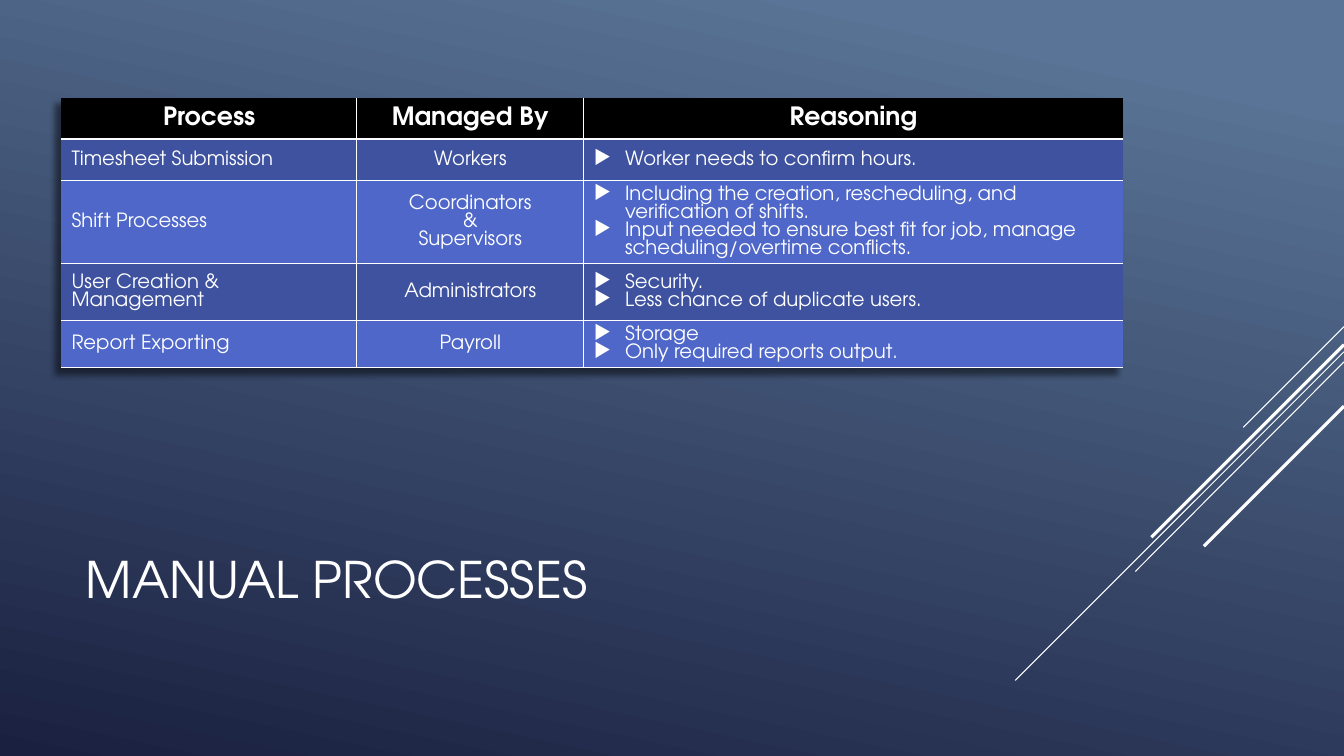
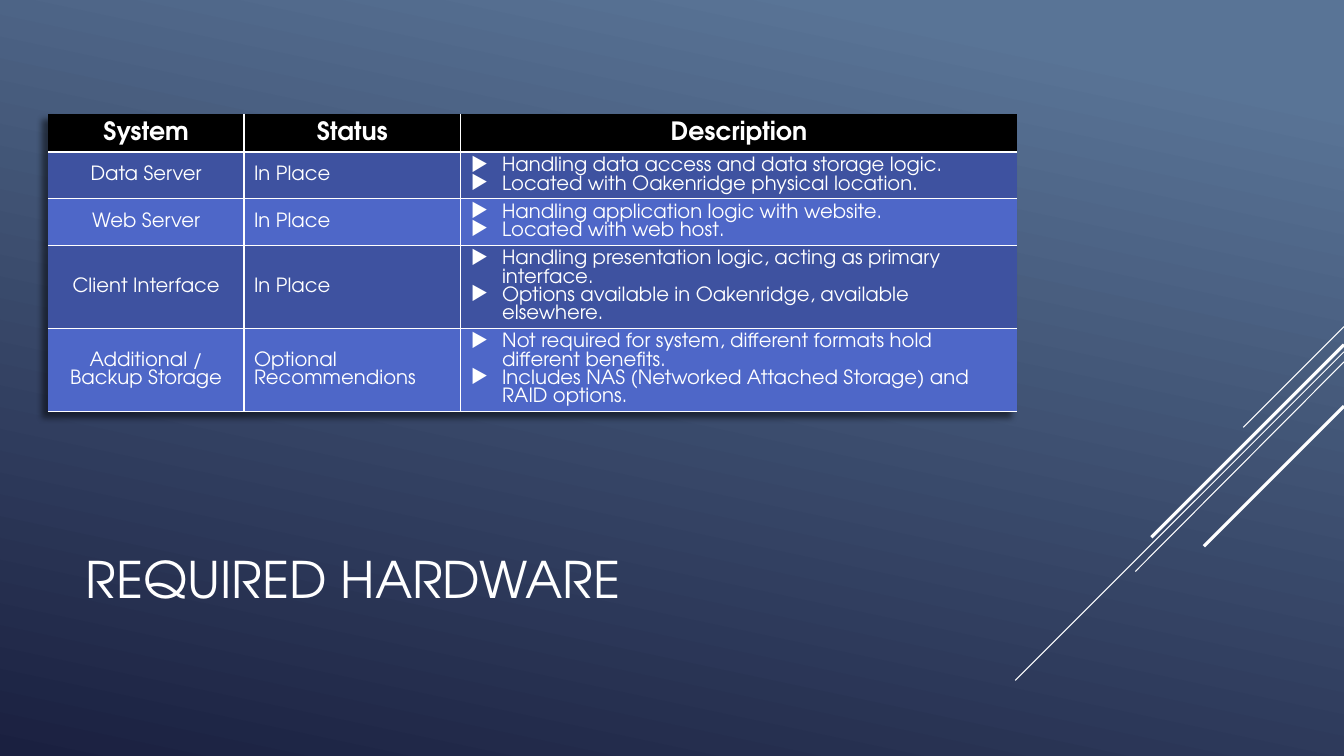
"""Build two table slides, on manual processes and on required hardware."""
from lxml import etree
from pptx import Presentation
from pptx.dml.color import RGBColor
from pptx.enum.shapes import MSO_CONNECTOR
from pptx.enum.text import MSO_ANCHOR, PP_ALIGN
from pptx.oxml import parse_xml
from pptx.oxml.ns import qn
from pptx.util import Inches, Pt

LEFT, CENTER = PP_ALIGN.LEFT, PP_ALIGN.CENTER
MIDDLE = MSO_ANCHOR.MIDDLE
STRAIGHT = MSO_CONNECTOR.STRAIGHT

FONT = "TeX Gyre Adventor"
COLORS = {
    "sky": "597496",
    "night": "1A2040",
    "white": "FFFFFF",
    "header": "000000",
    "dark_row": "3E52A0",
    "light_row": "4E67C8",
}
DRAWING_NS = 'xmlns:a="http://schemas.openxmlformats.org/drawingml/2006/main"'
TABLE_SHADOW = (
    f'<a:effectLst {DRAWING_NS}><a:outerShdw blurRad="50800" dist="76200" dir="8100000">'
    '<a:srgbClr val="000000"><a:alpha val="50000"/></a:srgbClr></a:outerShdw></a:effectLst>'
)
STREAKS = [
    (3.24, 12.33, 4.24, 0.75),
    (3.49, 10.07, 6.75, 0.75),
    (3.59, 11.26, 5.67, 0.75),
    (3.42, 11.42, 5.33, 2.25),
    (4.03, 11.94, 5.42, 2.25),
]
SLIDES = [
    {
        "title": "MANUAL PROCESSES",
        "corner": (0.61, 0.97),
        "columns": [2.93, 2.25, 5.35],
        "heights": [0.41, 0.41, 0.82, 0.57, 0.46],
        "aligns": [LEFT, CENTER, LEFT],
        "rows": [
            ("Process", "Managed By", "Reasoning"),
            ("Timesheet Submission", "Workers", "Worker needs to confirm hours."),
            ("Shift Processes", "Coordinators\n&\nSupervisors",
             "Including the creation, rescheduling, and verification of shifts.\n"
             "Input needed to ensure best fit for job, manage scheduling/overtime conflicts."),
            ("User Creation & Management", "Administrators",
             "Security.\nLess chance of duplicate users."),
            ("Report Exporting", "Payroll", "Storage\nOnly required reports output."),
        ],
    },
    {
        "title": "REQUIRED HARDWARE",
        "corner": (0.48, 1.13),
        "columns": [1.94, 2.15, 5.52],
        "heights": [0.38, 0.46, 0.46, 0.82, 0.82],
        "aligns": [CENTER, LEFT, LEFT],
        "rows": [
            ("System", "Status", "Description"),
            ("Data Server", "In Place",
             "Handling data access and data storage logic.\n"
             "Located with Oakenridge physical location."),
            ("Web Server", "In Place",
             "Handling application logic with website.\nLocated with web host."),
            ("Client Interface", "In Place",
             "Handling presentation logic, acting as primary interface.\n"
             "Options available in Oakenridge, available elsewhere."),
            ("Additional / Backup Storage", "Optional Recommendions",
             "Not required for system, different formats hold different benefits.\n"
             "Includes NAS (Networked Attached Storage) and RAID options."),
        ],
    },
]


def style_runs(paragraph, size, bold=False):
    for run in paragraph.runs:
        run.font.name = FONT
        run.font.size = Pt(size)
        run.font.bold = bold
        run.font.color.rgb = RGBColor.from_string(COLORS["white"])


def set_borders(cell, widths):
    properties = cell._tc.get_or_add_tcPr()
    for position, (side, width) in enumerate(zip("LRTB", widths)):
        paint = f'<a:solidFill><a:srgbClr val="{COLORS["white"]}"/></a:solidFill>'
        if not width:
            paint = "<a:noFill/>"
        border = f'<a:ln{side} {DRAWING_NS} w="{Pt(width)}">{paint}</a:ln{side}>'
        properties.insert(position, parse_xml(border))


prs = Presentation()
prs.slide_width, prs.slide_height = Inches(13.33), Inches(7.5)

master = prs.slide_master
backdrop = master.background.fill
backdrop.gradient()
backdrop.gradient_angle = 360 - 102
for stop, position, color in zip(backdrop.gradient_stops, (0.1, 1), ("sky", "night")):
    stop.position = position
    stop.color.rgb = RGBColor.from_string(COLORS[color])

for number, content in enumerate(SLIDES):
    slide = prs.slides.add_slide(prs.slide_layouts[5])

    if number == 0:
        for start_y, end_x, end_y, weight in STREAKS:
            streak = slide.shapes.add_connector(
                STRAIGHT, Inches(13.33), Inches(start_y), Inches(end_x), Inches(end_y))
            streak.line.color.rgb = RGBColor.from_string(COLORS["white"])
            streak.line.width = Pt(weight)
            etree.SubElement(streak.element.spPr, qn("a:effectLst"))
            master.shapes.element.append(streak.element)

    title = slide.shapes.title
    title.left, title.top = Inches(0.75), Inches(4.91)
    title.width, title.height = Inches(9.33), Inches(1.65)
    title.text_frame.text = content["title"]
    title.text_frame.vertical_anchor = MIDDLE
    title.text_frame.paragraphs[0].alignment = LEFT
    style_runs(title.text_frame.paragraphs[0], 36)

    rows, columns, heights = content["rows"], content["columns"], content["heights"]
    left, top = content["corner"]
    table = slide.shapes.add_table(
        len(rows), len(columns), Inches(left), Inches(top),
        Inches(sum(columns)), Inches(sum(heights))).table
    table.horz_banding = False
    table._tbl.tblPr.insert(0, parse_xml(TABLE_SHADOW))
    for column, width in zip(table.columns, columns):
        column.width = Inches(width)
    for row, height in zip(table.rows, heights):
        row.height = Inches(height)

    last = len(columns) - 1
    for r, texts in enumerate(rows):
        header = r == 0
        fill = "header" if header else ("light_row", "dark_row")[r % 2]
        size = 18 if header else 14
        for c, text in enumerate(texts):
            cell = table.cell(r, c)
            cell.fill.solid()
            cell.fill.fore_color.rgb = RGBColor.from_string(COLORS[fill])
            cell.vertical_anchor = MIDDLE
            above = 0 if header else 2 if r == 1 else 1
            set_borders(cell, (int(c > 0), int(c < last), above, 2 if header else 1))
            cell.text_frame.text = text
            for paragraph in cell.text_frame.paragraphs:
                paragraph.alignment = CENTER if header else content["aligns"][c]
                paragraph.line_spacing = Pt(17 if header else 13)
                style_runs(paragraph, size, header)
                if c == last and not header:
                    bullet = paragraph._p.get_or_add_pPr()
                    bullet.set("marL", str(Inches(0.31)))
                    bullet.set("indent", str(-Inches(0.31)))
                    etree.SubElement(bullet, qn("a:buChar"), char="▶")

prs.save("out.pptx")
